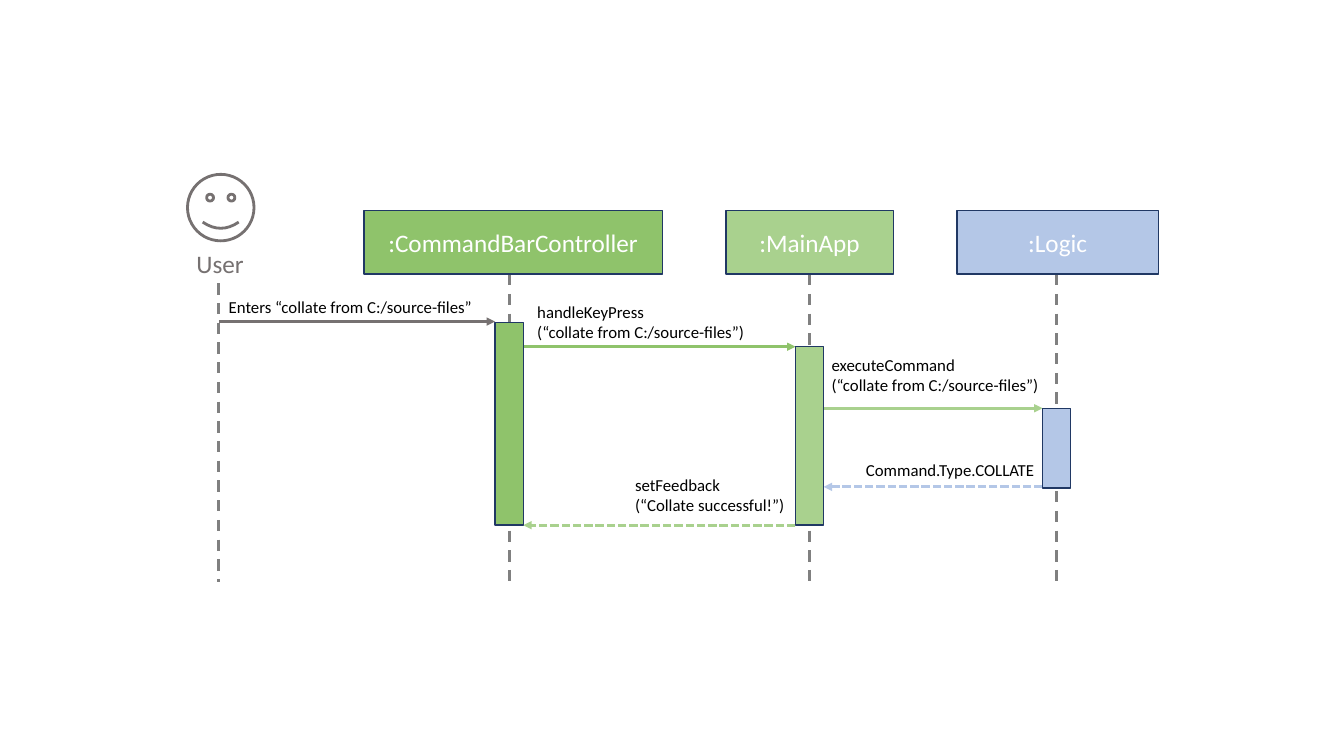
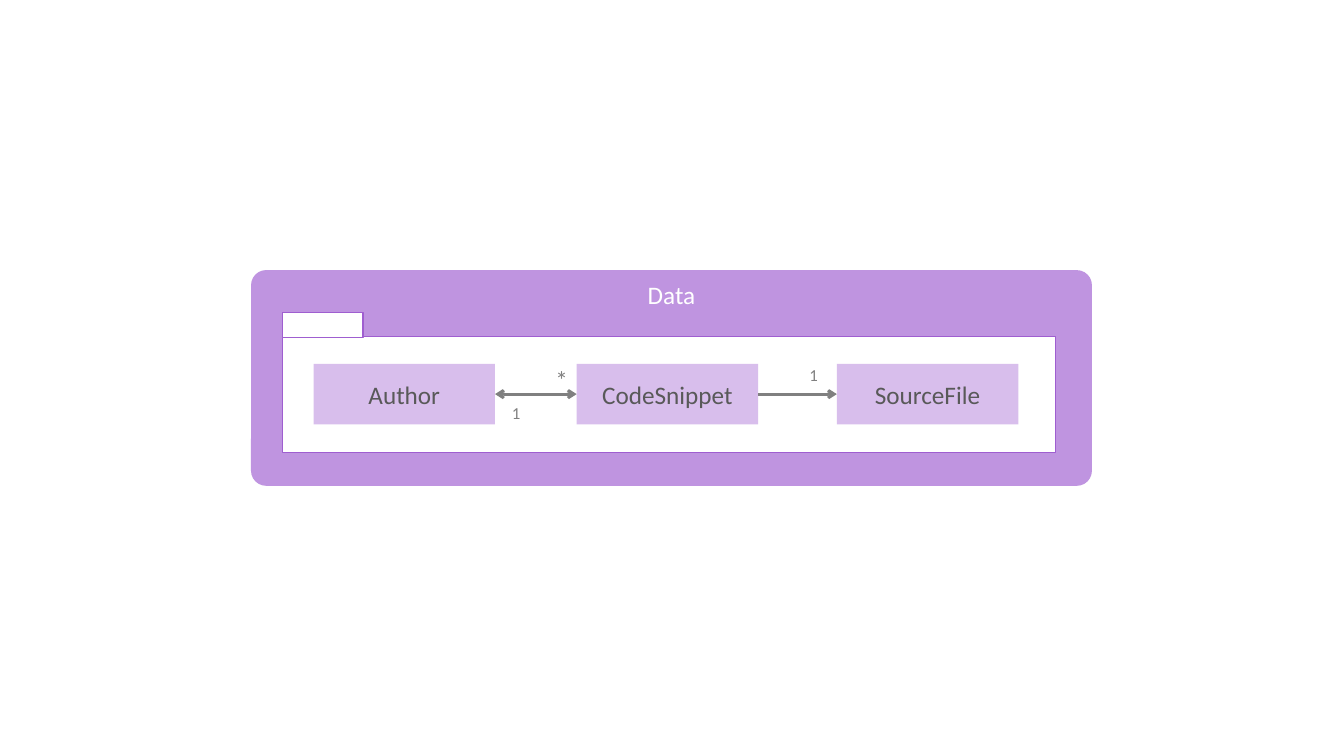
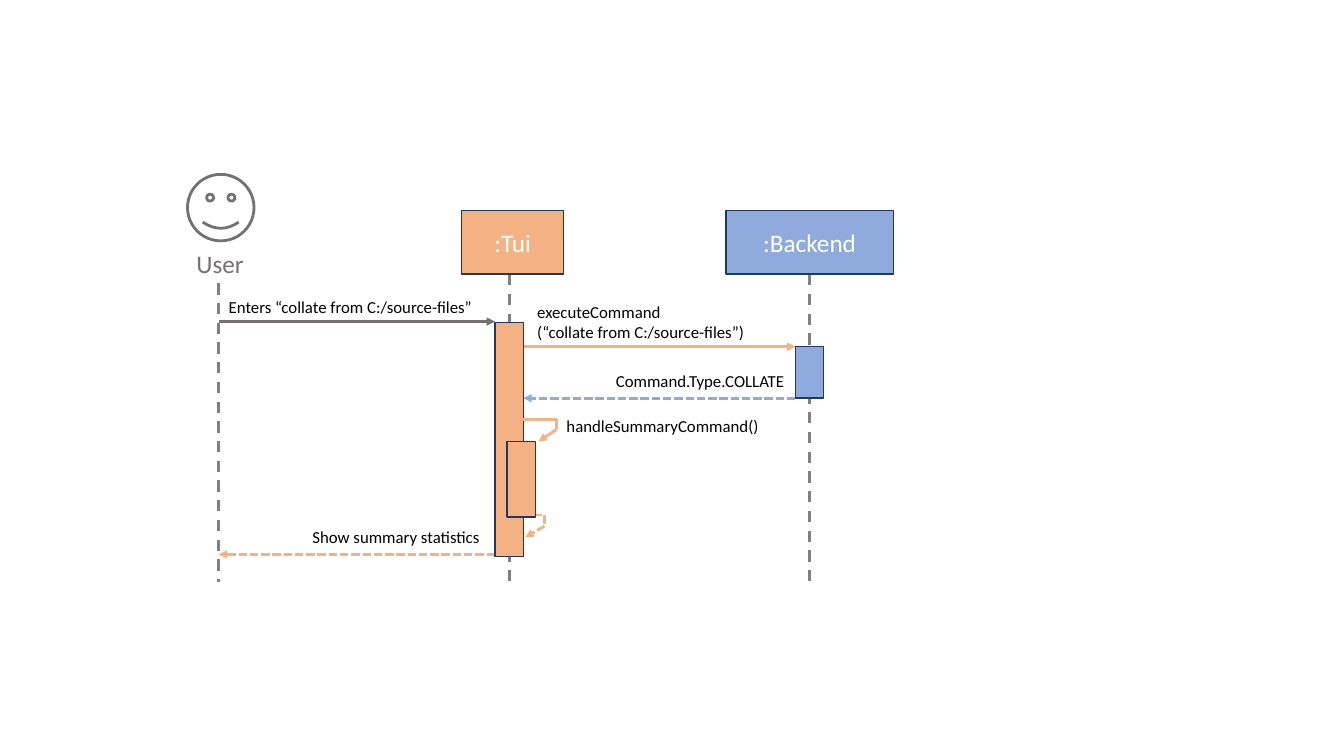
from lxml.etree import SubElement
from pptx import Presentation
from pptx.dml.color import RGBColor
from pptx.enum.dml import MSO_LINE as DASH
from pptx.enum.shapes import MSO_CONNECTOR, MSO_SHAPE as SHAPE
from pptx.enum.text import MSO_ANCHOR as ANCHOR, MSO_AUTO_SIZE, PP_ALIGN as ALIGN
from pptx.oxml.ns import qn
from pptx.util import Inches, Pt

FONT = "Calibri"
COLORS = {
    "black": "000000", "white": "FFFFFF", "gray": "808080", "dark gray": "595959",
    "user": "767171", "navy": "203864", "green": "8FC36B", "light green": "A9D18E",
    "light blue": "B4C7E7", "blue": "8FAADC", "orange": "F4B183",
    "purple": "BF94E0", "light purple": "D8BEEC", "violet": "9F5ED0",
}
RGB = {name: RGBColor.from_string(value) for name, value in COLORS.items()}


def add_block(slide, kind, at, text="", color="white", size=18, fill=None, outline=None,
              outline_width=1, anchor=ANCHOR.MIDDLE, wrap=True):
    """Add a preset shape with centred text, or a text box when kind is None."""
    box = [Inches(length) for length in at]
    if kind is None:
        shape = slide.shapes.add_textbox(*box)
        shape.text_frame.auto_size = MSO_AUTO_SIZE.SHAPE_TO_FIT_TEXT
    else:
        shape = slide.shapes.add_shape(kind, *box)
        shape.shadow.inherit = False
        shape.text_frame.vertical_anchor = anchor
        if fill:
            shape.fill.solid()
            shape.fill.fore_color.rgb = RGB[fill]
        else:
            shape.fill.background()
        if outline:
            shape.line.color.rgb = RGB[outline]
            shape.line.width = Pt(outline_width)
        else:
            shape.line.fill.background()
    shape.text_frame.word_wrap = wrap
    if text:
        shape.text_frame.text = text
        for paragraph in shape.text_frame.paragraphs:
            paragraph.alignment = ALIGN.LEFT if kind is None else ALIGN.CENTER
            paragraph.font.name = FONT
            paragraph.font.size = Pt(size)
            paragraph.font.color.rgb = RGB[color]
    return shape


def add_line(slide, start, end, color, dash=None, head=None, tail=None):
    """Add a straight line with optional dashes and arrowheads."""
    points = [Inches(length) for length in (*start, *end)]
    connector = slide.shapes.add_connector(MSO_CONNECTOR.STRAIGHT, *points)
    connector.line.color.rgb = RGB[color]
    connector.line.width = Pt(2)
    if dash:
        connector.line.dash_style = dash
    properties = connector.element.spPr
    for tag, arrow in (("a:headEnd", head), ("a:tailEnd", tail)):
        if arrow:
            SubElement(properties.find(qn("a:ln")), qn(tag), type=arrow)
    SubElement(properties, qn("a:effectLst"))


presentation = Presentation()
presentation.slide_width = Inches(13.33)
presentation.slide_height = Inches(7.5)
blank_layout = presentation.slide_layouts[6]
gui_slide, data_slide, tui_slide = [
    presentation.slides.add_slide(blank_layout) for _ in range(3)]

# Sequence diagrams
USER_X = 2.17
HEAD_TOP, HEAD_HEIGHT = 2.09, 0.63
LIFELINE_TOP, LIFELINE_END = HEAD_TOP + HEAD_HEIGHT, 5.77
BAR_WIDTH = 0.28
SOURCE = "“collate from C:/source-files”"
ENTER = ("User", 0, 3.19, "Enters " + SOURCE, 2.17, 2.89, 2.7)

# Participants: name, colour, lifeline x, head left, head width, bar top, bar height
# Messages: sender, receiver, y, label, label left, label top, label width
# Self calls: dash, corner points
sequences = [
    {
        "slide": gui_slide,
        "participants": [
            (":CommandBarController", "green", 5.05, 3.61, 2.96, 3.2, 2.01),
            (":MainApp", "light green", 8.03, 7.2, 1.66, 3.44, 1.77),
            (":Logic", "light blue", 10.48, 9.49, 2, 4.05, 0.79),
        ],
        "messages": [
            ENTER,
            (0, 1, 3.44, f"handleKeyPress\n({SOURCE})", 5.23, 2.94, 2.32),
            (1, 2, 4.05, f"executeCommand\n({SOURCE})", 8.15, 3.47, 2.28),
            (2, 1, 4.83, "Command.Type.COLLATE", 8.49, 4.51, 1.89),
            (1, 0, 5.21, "setFeedback\n(“Collate successful!”)", 6.2, 4.66, 1.7),
        ],
        "self calls": [],
    },
    {
        "slide": tui_slide,
        "participants": [
            (":Tui", "orange", 5.05, 4.58, 1.01, 3.2, 2.32),
            (":Backend", "blue", 8.03, 7.2, 1.66, 3.44, 0.51),
        ],
        "messages": [
            ENTER,
            (0, 1, 3.44, f"executeCommand\n({SOURCE})", 5.23, 2.94, 2.28),
            (1, 0, 3.95, "Command.Type.COLLATE", 6.01, 3.63, 1.89),
            (0, "User", 5.5, "Show summary statistics", 3, 5.18, 1.88),
        ],
        "self calls": [
            (None, [(5.19, 4.16), (5.52, 4.16), (5.52, 4.26), (5.34, 4.38)]),
            (DASH.SQUARE_DOT, [(5.07, 5.11), (5.4, 5.11), (5.4, 5.22), (5.21, 5.33)]),
        ],
    },
]

for sequence in sequences:
    slide = sequence["slide"]
    participants = sequence["participants"]

    add_block(slide, SHAPE.SMILEY_FACE, (1.86, 1.73, 0.66, 0.66), outline="user",
              outline_width=2)
    add_block(slide, None, (1.85, 2.41, 0.68, 0.4), "User", "user", wrap=False)
    add_line(slide, (USER_X, 2.81), (USER_X, LIFELINE_END), "gray", DASH.DASH)
    for name, color, x, left, width, *_ in participants:
        add_line(slide, (x, LIFELINE_TOP), (x, LIFELINE_END), "gray", DASH.DASH)
        add_block(slide, SHAPE.RECTANGLE, (left, HEAD_TOP, width, HEAD_HEIGHT), name,
                  fill=color, outline="navy")

    # A message takes its sender's colour and is dashed when it returns to the left.
    ends = {index: (x, color, BAR_WIDTH / 2)
            for index, (_, color, x, *_) in enumerate(participants)}
    ends["User"] = (USER_X, "user", 0)
    for sender, receiver, y, label, left, top, width in sequence["messages"]:
        start_x, color, start_gap = ends[sender]
        end_x, _, end_gap = ends[receiver]
        direction = 1 if end_x > start_x else -1
        add_line(slide, (start_x + direction * start_gap, y),
                 (end_x - direction * end_gap, y), color,
                 DASH.SQUARE_DOT if direction < 0 else None, tail="triangle")
        height = 0.5 if "\n" in label else 0.3
        add_block(slide, None, (left, top, width, height), label, "black", 12, wrap=False)

    for _, color, x, _, _, top, height in participants:
        add_block(slide, SHAPE.RECTANGLE, (x - BAR_WIDTH / 2, top, BAR_WIDTH, height),
                  fill=color, outline="navy")

    for dash, corners in sequence["self calls"]:
        for start, end in zip(corners, corners[1:]):
            add_line(slide, start, end, "orange", dash,
                     tail="triangle" if end == corners[-1] else None)

add_block(tui_slide, SHAPE.RECTANGLE, (5.03, 4.38, BAR_WIDTH, 0.75),
          fill="orange", outline="navy")
add_block(tui_slide, None, (5.52, 4.08, 2.12, 0.3), "handleSummaryCommand()", "black", 12,
          wrap=False)

# Data class diagram
component = add_block(data_slide, SHAPE.ROUNDED_RECTANGLE, (2.49, 2.68, 8.34, 2.14), "Data",
                      fill="purple", anchor=ANCHOR.TOP)
component.adjustments[0] = 0.07
for package_part in ((2.8, 3.34, 7.67, 1.15), (2.8, 3.1, 0.8, 0.25)):
    add_block(data_slide, SHAPE.RECTANGLE, package_part, fill="white", outline="violet")
for name, left in (("Author", 3.11), ("CodeSnippet", 5.72), ("SourceFile", 8.3)):
    add_block(data_slide, SHAPE.RECTANGLE, (left, 3.61, 1.8, 0.6), name, "dark gray",
              fill="light purple")
for start_x, end_x, head in ((4.91, 5.72, "arrow"), (7.52, 8.3, None)):
    add_line(data_slide, (start_x, 3.91), (end_x, 3.91), "gray", head=head, tail="arrow")
for multiplicity, left, top, height, size in (
        ("*", 5.41, 3.57, 0.4, 18), ("1", 4.98, 3.95, 0.3, 12), ("1", 7.93, 3.57, 0.3, 12)):
    add_block(data_slide, None, (left, top, 0.37, height), multiplicity, "gray", size)

presentation.save("out.pptx")
